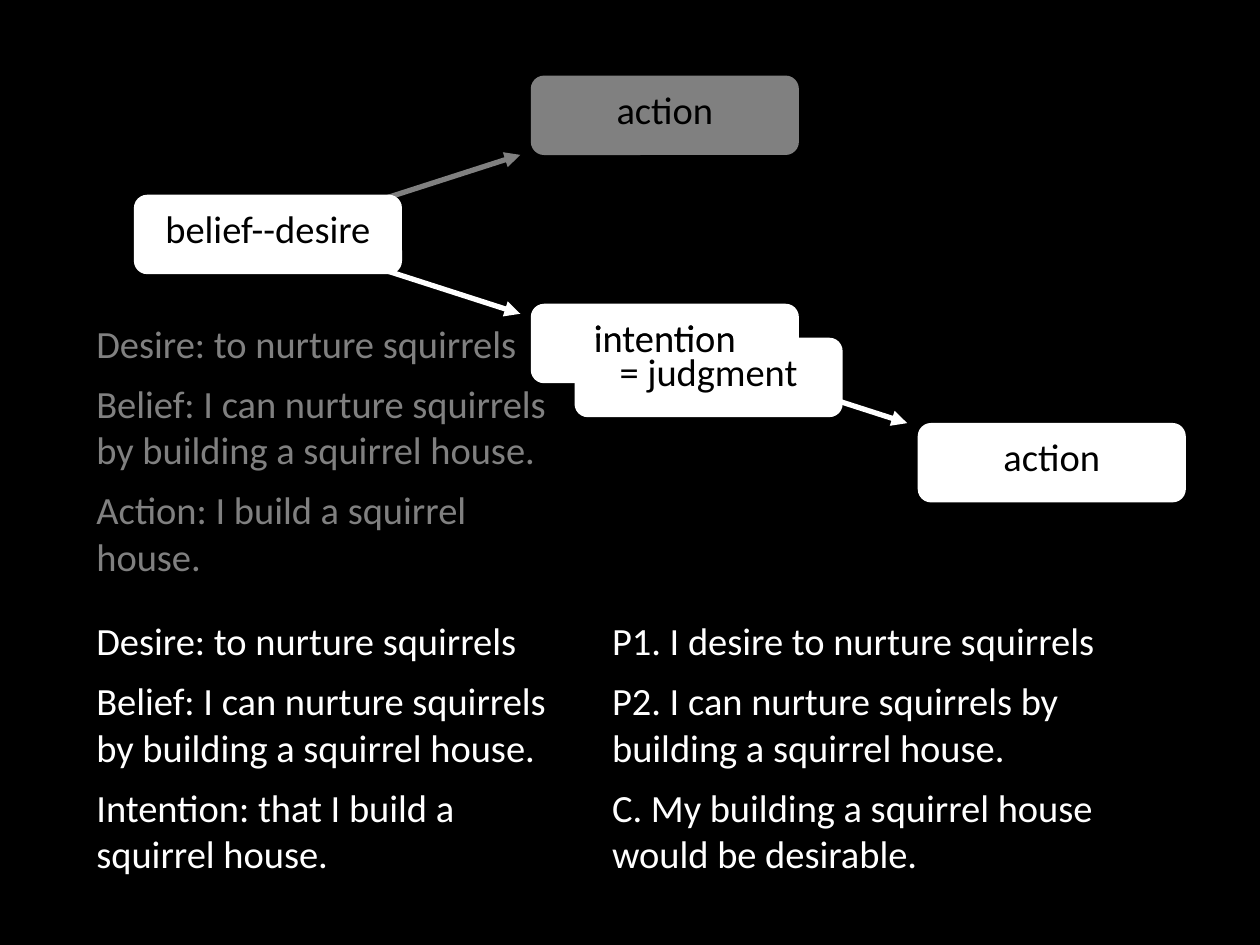
from dataclasses import dataclass

import pptx
import pptx.dml.color
import pptx.enum.shapes
import pptx.enum.text
import pptx.oxml
import pptx.oxml.ns
import pptx.util

Pt = pptx.util.Pt
COLORS = {"black": "000000", "gray": "808080", "white": "FFFFFF"}
FONT, SIZE = "Calibri", 22
BOX_W, BOX_H = 153.2, 45.4
ARROW_DX, ARROW_DY = 141.1, 45.4
NOTE_H = 156


@dataclass
class Box:
    text: str
    x: float
    y: float
    fill: str | None = "white"


@dataclass
class Arrow:
    x: float
    y: float
    direction: int
    color: str = "white"


@dataclass
class Note:
    x: float
    y: float
    width: float
    color: str
    lines: list[str]


DESIRE = "Desire: to nurture squirrels"
BELIEF = "Belief: I can nurture squirrels by building a squirrel house."

ACTION_NOTE = Note(48, 179.3, 283.5, "gray",
                   [DESIRE, BELIEF, "Action: I build a squirrel house."])
LOWER_NOTES = [
    Note(48, 349.2, 283.5, "white",
         [DESIRE, BELIEF, "Intention: that I build a squirrel house."]),
    Note(342.7, 349.2, 342.7, "white",
         ["P1. I desire to nurture squirrels",
          "P2. I can nurture squirrels by building a squirrel house.",
          "C. My building a squirrel house would be desirable."]),
]
ARROWS = [
    Arrow(377.3, 196.4, 1),
    Arrow(156.2, 133.9, -1, "gray"),
    Arrow(156.2, 133.9, 1),
]
BOXES = [
    Box("action", 303.3, 43.2, "gray"),
    Box("intention", 303.3, 173.6),
    Box("action", 524.4, 241.7),
    Box("belief--desire", 76.5, 111.3),
]
# The unfilled box keeps its label readable above the judgment box.
OVERLAY = [
    Box("= judgment", 328.3, 193),
    Box("intention", 303.3, 173.6, None),
]


def rgb(name: str) -> pptx.dml.color.RGBColor:
    return pptx.dml.color.RGBColor.from_string(COLORS[name])


def set_font(p, color: str) -> None:
    p.font.name = FONT
    p.font.size = Pt(SIZE)
    p.font.color.rgb = rgb(color)


def add_box(slide, box: Box) -> None:
    sp = slide.shapes.add_shape(
        pptx.enum.shapes.MSO_SHAPE.ROUNDED_RECTANGLE,
        Pt(box.x), Pt(box.y), Pt(BOX_W), Pt(BOX_H))
    sp.shadow.inherit = False
    sp.line.fill.background()
    if box.fill:
        sp.fill.solid()
        sp.fill.fore_color.rgb = rgb(box.fill)
    else:
        sp.fill.background()
    tf = sp.text_frame
    tf.word_wrap = True
    tf.vertical_anchor = pptx.enum.text.MSO_ANCHOR.TOP
    p = tf.paragraphs[0]
    p.text = box.text
    p.alignment = pptx.enum.text.PP_ALIGN.CENTER
    set_font(p, "black")


def add_arrow(slide, arrow: Arrow) -> None:
    line = slide.shapes.add_connector(
        pptx.enum.shapes.MSO_CONNECTOR.STRAIGHT,
        Pt(arrow.x), Pt(arrow.y),
        Pt(arrow.x + ARROW_DX), Pt(arrow.y + arrow.direction * ARROW_DY))
    line.line.width = Pt(3)
    line.line.color.rgb = rgb(arrow.color)
    ln = line.line._get_or_add_ln()
    ln.append(pptx.oxml.parse_xml(
        f'<a:tailEnd {pptx.oxml.ns.nsdecls("a")} type="triangle"/>'))
    line._element.spPr.append(pptx.oxml.parse_xml(
        f'<a:effectLst {pptx.oxml.ns.nsdecls("a")}/>'))


def add_note(slide, note: Note) -> None:
    sp = slide.shapes.add_textbox(
        Pt(note.x), Pt(note.y), Pt(note.width), Pt(NOTE_H))
    tf = sp.text_frame
    tf.word_wrap = True
    tf.auto_size = pptx.enum.text.MSO_AUTO_SIZE.SHAPE_TO_FIT_TEXT
    tf.text = "\n".join(note.lines)
    for p in tf.paragraphs:
        p.space_after = Pt(8)
        set_font(p, note.color)


def main() -> None:
    prs = pptx.Presentation()
    prs.slide_width, prs.slide_height = Pt(720), Pt(540)
    slide = prs.slides.add_slide(prs.slide_layouts[6])
    slide.background.fill.solid()
    slide.background.fill.fore_color.rgb = rgb("black")

    add_note(slide, ACTION_NOTE)
    for arrow in ARROWS:
        add_arrow(slide, arrow)
    for box in BOXES:
        add_box(slide, box)
    for note in LOWER_NOTES:
        add_note(slide, note)
    for box in OVERLAY:
        add_box(slide, box)
    prs.save("out.pptx")


if __name__ == "__main__":
    main()
